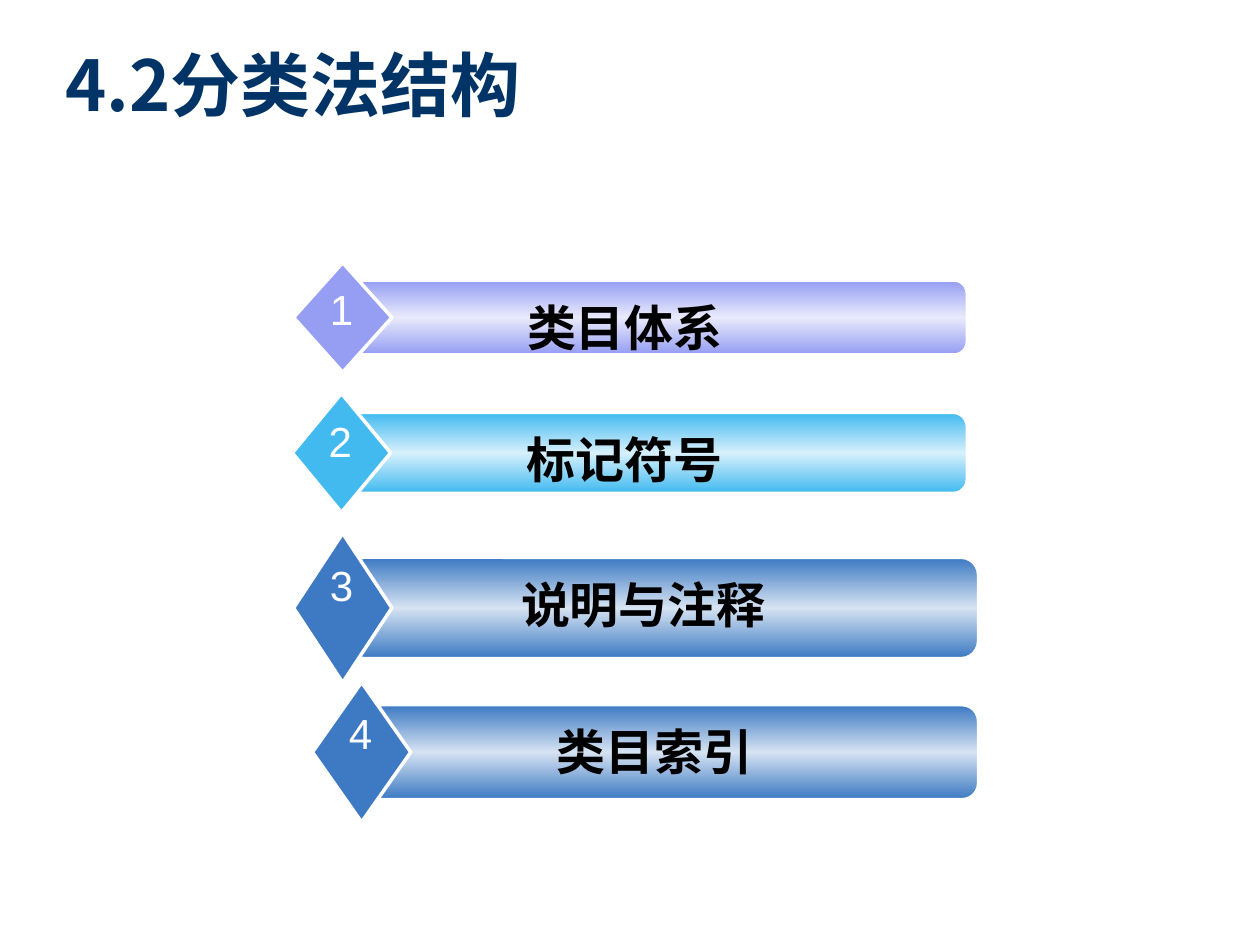
from copy import deepcopy
from pptx import Presentation
from pptx.dml.color import RGBColor
from pptx.enum.shapes import MSO_SHAPE as Shape
from pptx.enum.text import MSO_ANCHOR as Anchor, PP_ALIGN as Align
from pptx.oxml.ns import qn
from pptx.util import Inches, Pt

deck = Presentation()
deck.slide_width, deck.slide_height = Inches(10), Inches(7.5)
page = deck.slides.add_slide(deck.slide_layouts[5])
CELL = deck.slide_width / 100  # grid of 100 columns by 75 rows


def place(*cells):
    return [round(cell * CELL) for cell in cells]


def write(box, text, color, align, anchor, wrap=True, **font):
    frame = box.text_frame
    frame.word_wrap, frame.vertical_anchor = wrap, anchor
    para = frame.paragraphs[0]
    para.alignment = align
    span = para.add_run()
    span.text = text
    for name, value in font.items():
        setattr(span.font, name, value)
    span.font.color.rgb = RGBColor.from_string(color)
    return span


# Title
title = page.shapes.title
title.left, title.top, title.width, title.height = place(4.2, 3.3, 93.3, 6.7)
heading = write(title, "4.2分类法结构", "003366", Align.LEFT, Anchor.MIDDLE,
                name="Noto Sans CJK SC", size=Pt(40), bold=True)
east_asian = heading.font._element.makeelement(qn("a:ea"), {"typeface": "Noto Sans CJK SC"})
heading.font._element.append(east_asian)

# Numbered bars: label, edge colour, middle colour, label indent, left, top, width, height
bars = [
    ("类目体系", "959EF3", "E9EAFC", 0, 27.6, 22.3, 49.1, 5.8),
    ("标记符号", "42BAF0", "D7F0FC", 0, 27.5, 32.8, 49.2, 6.3),
    ("说明与注释", "3D7AC3", "D6E3F2", 2.2, 27.6, 44.3, 50, 7.9),
    ("类目索引", "3D7AC3", "D6E3F2", 2.2, 29.1, 56, 48.5, 7.4),
]
for number, (label, edge, middle, indent, left, top, width, height) in enumerate(bars, 1):
    group = page.shapes.add_group_shape().shapes

    # Bar, and a diamond half as tall again centred on it
    bar = group.add_shape(Shape.ROUNDED_RECTANGLE, *place(left, top, width, height))
    diamond = group.add_shape(
        Shape.DIAMOND, *place(left - 4.3, top - height / 4, 7.8, height * 1.5))
    for shape, line_width in ((bar, 1), (diamond, 2)):
        shape.shadow.inherit = False
        shape.line.color.rgb = RGBColor.from_string("FFFFFF")
        shape.line.width = Pt(line_width)
    diamond.fill.solid()
    diamond.fill.fore_color.rgb = RGBColor.from_string(edge)

    # Vertical gradient, light in the middle
    bar.fill.gradient()
    bar.fill.gradient_angle = 90
    first_stop = bar.fill._xPr.find(qn("a:gradFill")).find(qn("a:gsLst"))[0]
    first_stop.addnext(deepcopy(first_stop))
    for stop, color, position in zip(bar.fill.gradient_stops, (edge, middle, edge), (0, 0.5, 1)):
        stop.color.rgb = RGBColor.from_string(color)
        stop.position = position

    # Label and number
    label_box = group.add_textbox(*place(left + 2.6, top + 0.8, width * 0.79, 5.7))
    label_box.text_frame.margin_left += round(indent * CELL)
    write(label_box, label, "000000", Align.CENTER, Anchor.TOP,
          name="Arial", size=Pt(28), bold=True)
    number_box = group.add_textbox(*place(left - 2.4, top - height * 0.05, 3.8, 5))
    write(number_box, str(number), "FFFFFF", Align.CENTER, Anchor.TOP, wrap=False,
          name="Arial", size=Pt(24))

deck.save("out.pptx")
